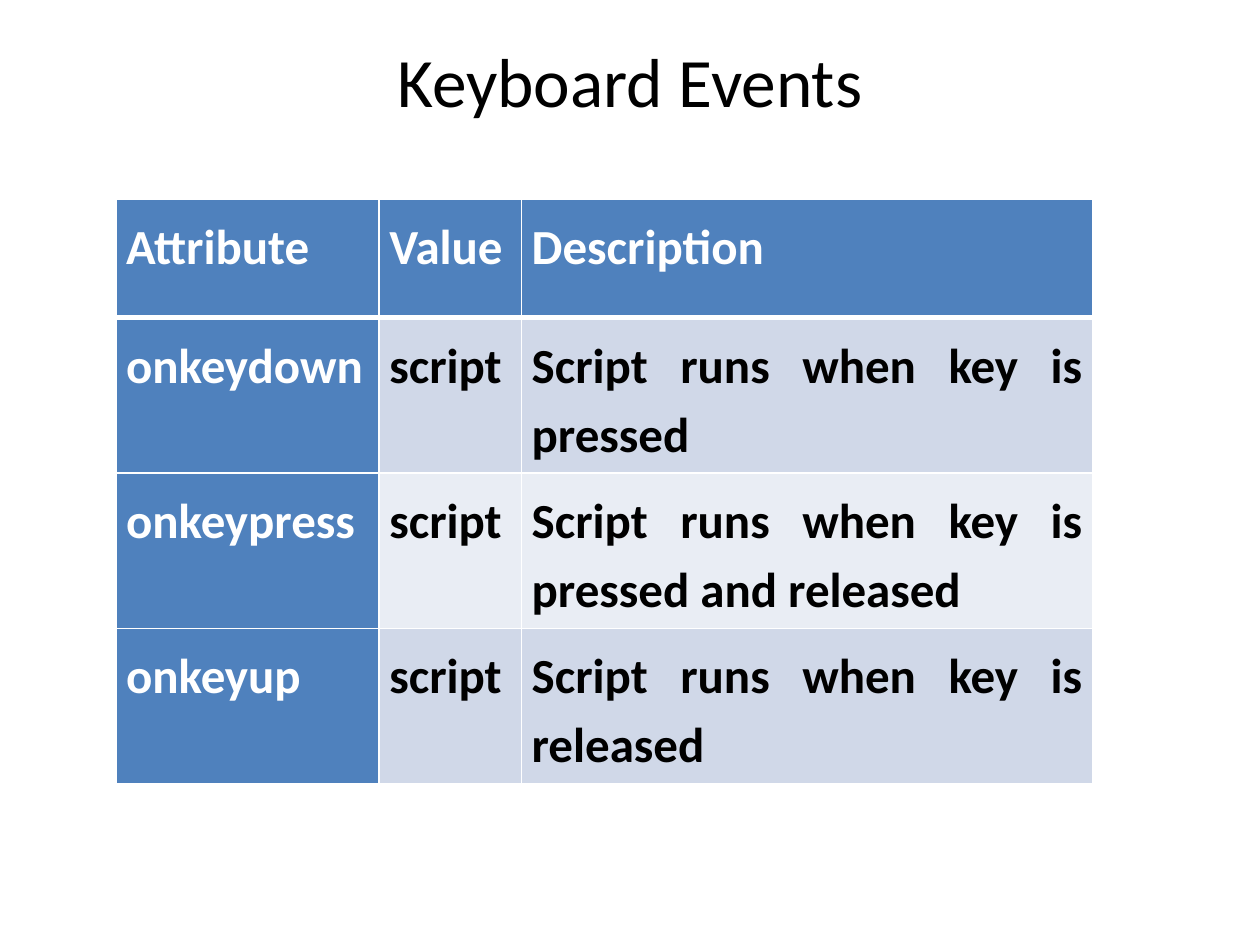
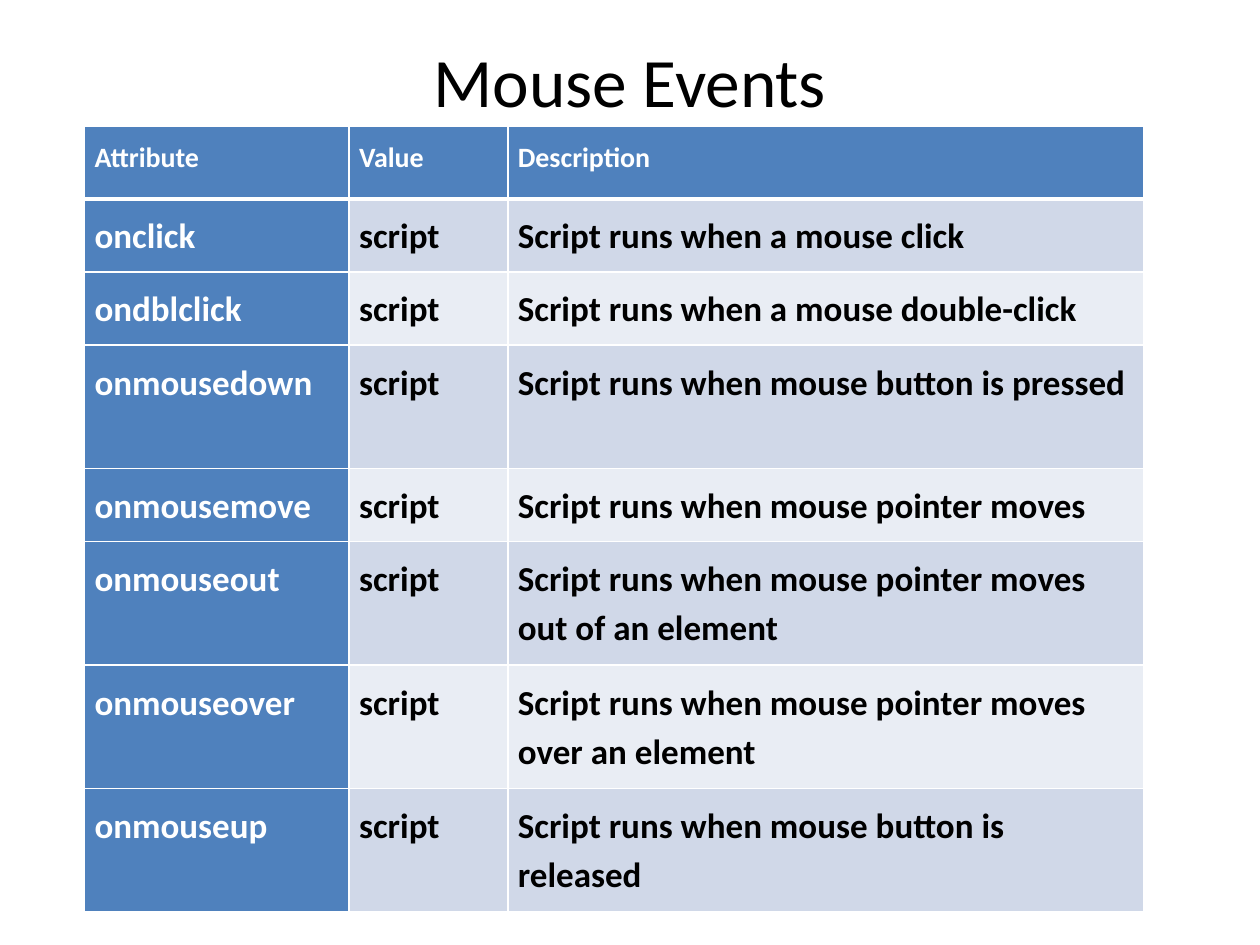
"""Build two slides that list the keyboard and mouse event attributes."""
import pptx
import pptx.dml.color
import pptx.enum.text
import pptx.oxml
import pptx.util
from lxml import etree
from pptx.util import Inches

FONT = "Calibri"
BLACK, WHITE, BLUE = "000000", "FFFFFF", "4F81BD"
BAND_FILLS = ("D0D8E8", "E9EDF4")
HEADER = ("Attribute", "Value", "Description")
ALIGN = pptx.enum.text.PP_ALIGN
DRAWING = "http://schemas.openxmlformats.org/drawingml/2006/main"
SHORT_ROW, TALL_ROW = 0.58, 0.98

EVENT_SLIDES = [
    {
        "title": "Keyboard Events",
        "left": 0.92,
        "top": 1.58,
        "columns": (2.09, 1.13, 4.53),
        "header_height": 0.94,
        "header_size": 28,
        "body_size": 28,
        "align": ALIGN.JUSTIFY,
        "events": [
            ("onkeydown", "Script runs when key is pressed", 0.94),
            ("onkeypress", "Script runs when key is pressed and released", 0.94),
            ("onkeyup", "Script runs when key is released", 0.94),
        ],
    },
    {
        "title": "Mouse Events",
        "left": 0.67,
        "top": 1,
        "columns": (2.1, 1.26, 5.05),
        "header_height": SHORT_ROW,
        "header_size": 16,
        "body_size": 20,
        "align": ALIGN.LEFT,
        "events": [
            ("onclick", "Script runs when a mouse click", SHORT_ROW),
            ("ondblclick", "Script runs when a mouse double-click", SHORT_ROW),
            ("onmousedown", "Script runs when mouse button is pressed", TALL_ROW),
            ("onmousemove", "Script runs when mouse pointer moves", SHORT_ROW),
            ("onmouseout", "Script runs when mouse pointer moves out of an element", TALL_ROW),
            ("onmouseover", "Script runs when mouse pointer moves over an element", TALL_ROW),
            ("onmouseup", "Script runs when mouse button is released", TALL_ROW),
        ],
    },
]


def rgb(value):
    return pptx.dml.color.RGBColor.from_string(value)


def write_text(frame, text, size, color=BLACK, bold=False, align=ALIGN.LEFT,
               line_spacing=1.0, space_after=0):
    frame.word_wrap = True
    paragraph = frame.paragraphs[0]
    paragraph.alignment = align
    paragraph.line_spacing = line_spacing
    paragraph.space_after = pptx.util.Pt(space_after)
    run = paragraph.add_run()
    run.text = text
    run.font.name = FONT
    run.font.size = pptx.util.Pt(size)
    run.font.bold = bold
    run.font.color.rgb = rgb(color)


def set_borders(cell, row_index):
    properties = cell._tc.get_or_add_tcPr()
    widths = {
        "lnL": 1,
        "lnR": 1,
        "lnT": 3 if row_index == 1 else 1,
        "lnB": 3 if row_index == 0 else 1,
    }
    for side, width in widths.items():
        properties.append(pptx.oxml.parse_xml(
            f'<a:{side} xmlns:a="{DRAWING}" w="{pptx.util.Pt(width)}">'
            f'<a:solidFill><a:srgbClr val="{WHITE}"/></a:solidFill></a:{side}>'))


def add_title(slide, text):
    box = slide.shapes.add_textbox(Inches(0.5), Inches(0.3), Inches(9), Inches(1.25))
    frame = box.text_frame
    frame.margin_top = 0
    frame.vertical_anchor = pptx.enum.text.MSO_ANCHOR.TOP
    write_text(frame, text, 39.6, align=ALIGN.CENTER)


def add_event_table(slide, content):
    rows = [HEADER] + [(name, "script", description)
                       for name, description, _ in content["events"]]
    heights = [content["header_height"]] + [height for _, _, height in content["events"]]
    columns = content["columns"]
    table = slide.shapes.add_table(
        len(rows), len(columns), Inches(content["left"]), Inches(content["top"]),
        Inches(sum(columns)), Inches(sum(heights))).table
    table.first_col = True
    for column, width in zip(table.columns, columns):
        column.width = Inches(width)
    for row, height in zip(table.rows, heights):
        row.height = Inches(height)
    for row_index, row in enumerate(rows):
        for column_index, text in enumerate(row):
            cell = table.cell(row_index, column_index)
            is_heading = row_index == 0 or column_index == 0
            cell.margin_left = cell.margin_right = Inches(0.08)
            cell.margin_top = cell.margin_bottom = Inches(0.08)
            set_borders(cell, row_index)
            cell.fill.solid()
            cell.fill.fore_color.rgb = rgb(
                BLUE if is_heading else BAND_FILLS[(row_index - 1) % 2])
            write_text(
                cell.text_frame, text,
                content["header_size"] if row_index == 0 else content["body_size"],
                color=WHITE if is_heading else BLACK, bold=True,
                align=content["align"], line_spacing=1.15, space_after=15)


def main():
    presentation = pptx.Presentation()
    presentation.slide_width = Inches(10)
    presentation.slide_height = Inches(7.5)
    for content in EVENT_SLIDES:
        slide = presentation.slides.add_slide(presentation.slide_layouts[6])
        add_title(slide, content["title"])
        add_event_table(slide, content)
    presentation.save("out.pptx")


if __name__ == "__main__":
    main()
